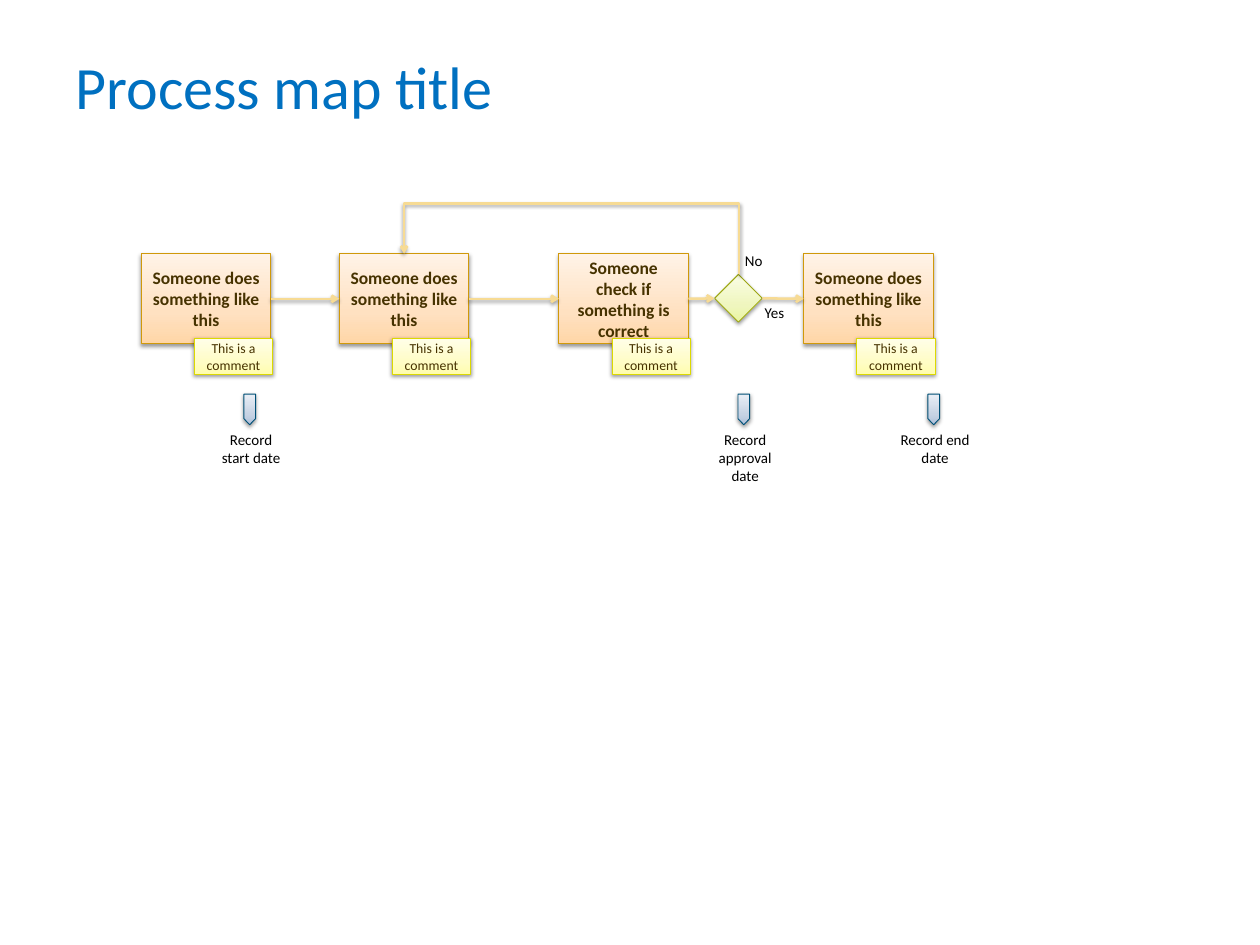
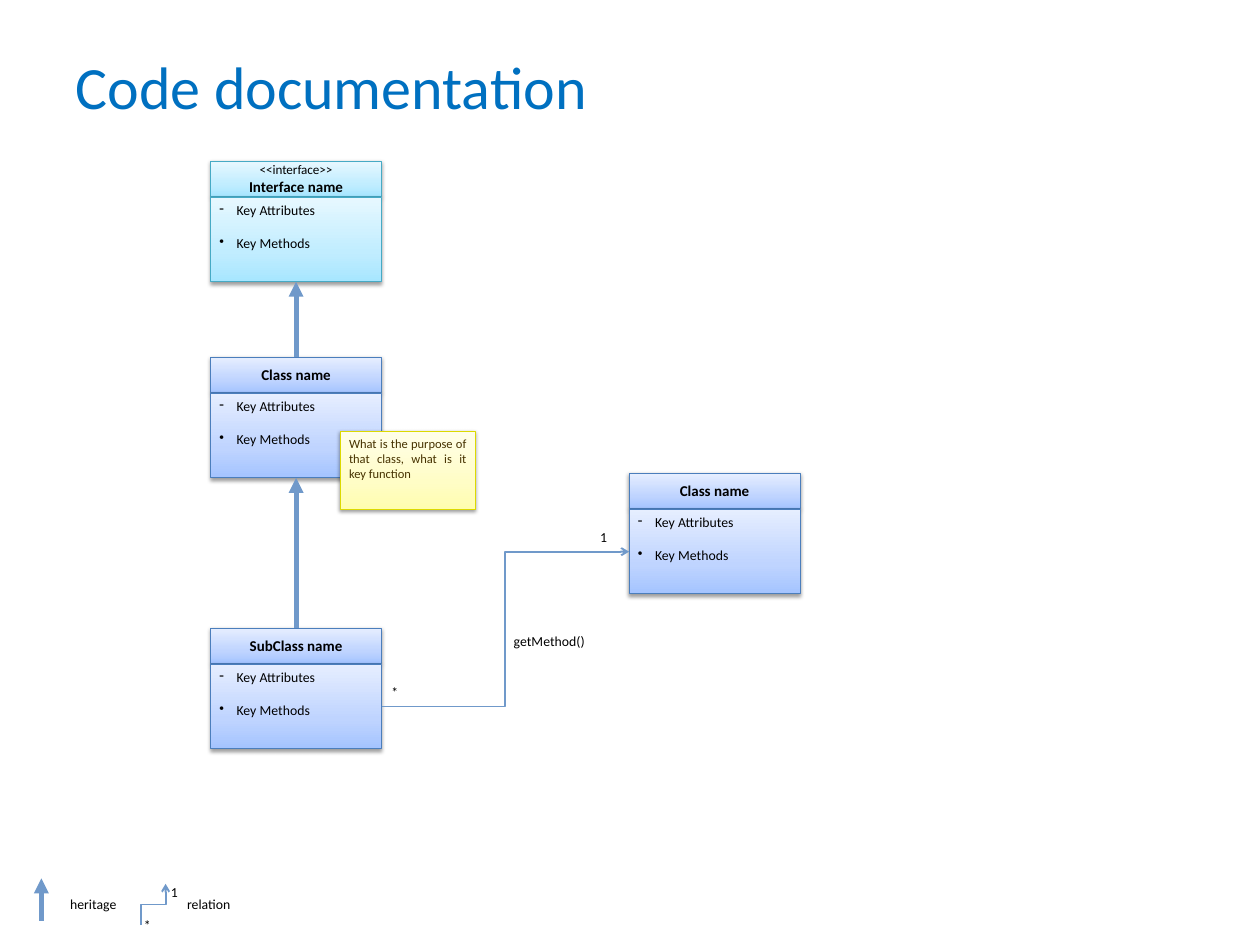
from copy import deepcopy
from dataclasses import dataclass

from lxml.etree import SubElement
from pptx import Presentation
from pptx.dml.color import RGBColor
from pptx.enum.shapes import MSO_CONNECTOR, MSO_SHAPE
from pptx.enum.text import MSO_ANCHOR, MSO_AUTO_SIZE, PP_ALIGN
from pptx.oxml.ns import qn
from pptx.util import Inches, Pt

TOP, LEFT, BOTTOM, RIGHT = range(4)


@dataclass(frozen=True)
class Look:
    """Outline colour and the three gradient colours from bottom to top."""
    line: str
    gradient: tuple


@dataclass(frozen=True)
class Theme:
    font: str = "Calibri"
    title_color: str = "0070C0"
    text: str = "000000"
    dark_text: str = "463200"
    flow_line: str = "F7DB94"
    class_line: str = "7099CA"
    title_size: float = 48
    step_size: float = 14
    label_size: float = 12
    small_size: float = 11
    tiny_size: float = 10
    stereotype_size: float = 10.5
    step: Look = Look("D0990A", ("FFD6A7", "FFE1C1", "FFF3E7"))
    comment: Look = Look("DCD900", ("FFFDAE", "FFFDC6", "FFFEE9"))
    decision: Look = Look("9DA714", ("EAF5A1", "EFF6BE", "FAFDE5"))
    record: Look = Look("005077", ("AEC0D9", "C7D3E4", "E9EEF5"))
    class_box: Look = Look("4B7EBC", ("A4C4FF", "BFD4FF", "E6EEFF"))
    interface: Look = Look("46AAC5", ("A7E6FF", "C1EDFF", "E7F8FF"))


THEME = Theme()


def style(paragraph, size, color=THEME.text, bold=False, align=PP_ALIGN.LEFT):
    paragraph.alignment = align
    font = paragraph.font
    font.name, font.size, font.bold = THEME.font, Pt(size), bold
    font.color.rgb = RGBColor.from_string(color)


def add_shadow(effects):
    shadow = SubElement(effects, qn("a:outerShdw"), blurRad="40000", dist="20000",
                        dir="5400000", rotWithShape="0")
    black = SubElement(shadow, qn("a:srgbClr"), val="000000")
    SubElement(black, qn("a:alpha"), val="38000")


def add_panel(shapes, kind, left, top, width, height, look):
    """Shape with a vertical gradient, a thin outline and a soft shadow."""
    panel = shapes.add_shape(kind, Inches(left), Inches(top), Inches(width), Inches(height))
    panel.fill.gradient()
    panel.fill.gradient_angle = 90
    stops = panel._element.spPr.find(".//" + qn("a:gsLst"))
    stops.insert(1, deepcopy(stops[0]))
    for stop, position, color in zip(panel.fill.gradient_stops, (0, 0.35, 1), look.gradient):
        stop.position = position
        stop.color.rgb = RGBColor.from_string(color)
    panel.line.color.rgb = RGBColor.from_string(look.line)
    panel.line.width = Pt(0.75)
    panel.shadow.inherit = False
    add_shadow(panel._element.spPr.find(qn("a:effectLst")))
    return panel


def write_panel(panel, text, size, color=THEME.text, bold=False,
                align=PP_ALIGN.CENTER, anchor=MSO_ANCHOR.MIDDLE):
    frame = panel.text_frame
    frame.word_wrap = True
    frame.vertical_anchor = anchor
    frame.text = text
    style(frame.paragraphs[0], size, color, bold, align)


def add_label(shapes, text, left, top, width, height, size=THEME.small_size,
              wrap=False, align=PP_ALIGN.LEFT):
    label = shapes.add_textbox(Inches(left), Inches(top), Inches(width), Inches(height))
    frame = label.text_frame
    frame.word_wrap = wrap
    frame.auto_size = MSO_AUTO_SIZE.SHAPE_TO_FIT_TEXT
    frame.text = text
    style(frame.paragraphs[0], size, align=align)


def add_title(slide, text):
    title = slide.shapes.add_textbox(Inches(0.7), Inches(0.42), Inches(12.6), Inches(1.05))
    frame = title.text_frame
    frame.word_wrap = True
    frame.vertical_anchor = MSO_ANCHOR.MIDDLE
    frame.margin_left = frame.margin_right = Inches(0.14)
    frame.margin_top = frame.margin_bottom = Inches(0.07)
    frame.text = text
    style(frame.paragraphs[0], THEME.title_size, THEME.title_color)


def style_line(connector, color, width, head, shadow=False):
    connector.line.color.rgb = RGBColor.from_string(color)
    connector.line.width = Pt(width)
    SubElement(connector.line._get_or_add_ln(), qn("a:tailEnd"), type=head)
    effects = SubElement(connector._element.spPr, qn("a:effectLst"))
    if shadow:
        add_shadow(effects)


def style_flow(connector):
    style_line(connector, THEME.flow_line, 2, "arrow", shadow=True)


def style_heritage(connector):
    style_line(connector, THEME.class_line, 4, "triangle")


def style_relation(connector):
    style_line(connector, THEME.class_line, 1.5, "arrow")


def add_connector(shapes, kind, x1, y1, x2, y2):
    return shapes.add_connector(kind, Inches(x1), Inches(y1), Inches(x2), Inches(y2))


def join(shapes, source, source_side, target, target_side):
    connector = add_connector(shapes, MSO_CONNECTOR.STRAIGHT, 0, 0, 0, 0)
    connector.begin_connect(source, source_side)
    connector.end_connect(target, target_side)
    return connector


def add_rising_elbow(shapes, x1, y1, x2, y2, turn_y):
    """Elbow that leaves upwards, crosses at turn_y and ends vertically."""
    center_x, center_y = (x1 + x2) / 2, (y1 + y2) / 2
    half_rise, half_run = (y1 - y2) / 2, (x2 - x1) / 2
    elbow = add_connector(shapes, MSO_CONNECTOR.ELBOW, center_x - half_rise,
                          center_y - half_run, center_x + half_rise, center_y + half_run)
    properties = elbow._element.spPr
    properties.find(qn("a:xfrm")).set("rot", "16200000")
    turn = round((y1 - turn_y) / (y1 - y2) * 100000)
    SubElement(properties.find(".//" + qn("a:avLst")), qn("a:gd"),
               name="adj1", fmla=f"val {turn}")
    return elbow


def add_step(shapes, left, top, text):
    step = add_panel(shapes, MSO_SHAPE.RECTANGLE, left, top, 1.44, 1, THEME.step)
    write_panel(step, text, THEME.step_size, THEME.dark_text, bold=True)
    comment = add_panel(shapes, MSO_SHAPE.RECTANGLE, left + 0.59, top + 0.94, 0.87, 0.4,
                        THEME.comment)
    write_panel(comment, "This is a comment", THEME.small_size, THEME.dark_text)
    return step


def add_record(shapes, left, top, text, height):
    group = shapes.add_group_shape().shapes
    add_panel(group, MSO_SHAPE.FLOWCHART_OFFPAGE_CONNECTOR, left + 0.42, top, 0.13, 0.34,
              THEME.record)
    add_label(group, text, left, top + 0.35, 1, height, THEME.label_size,
              wrap=True, align=PP_ALIGN.CENTER)


def build_process_map(slide):
    add_title(slide, "Process map title")
    shapes = slide.shapes
    action = "Someone does something like this"
    check = "Someone check if something is correct"
    top = 2.82
    first, second, third, last = [
        add_step(shapes, left, top, text)
        for left, text in ((1.57, action), (3.77, action), (6.21, check), (8.93, action))]
    decision = add_panel(shapes, MSO_SHAPE.DIAMOND, 7.94, 3.05, 0.53, 0.53, THEME.decision)
    chain = (first, second, third, decision, last)
    for source, target in zip(chain, chain[1:]):
        style_flow(join(shapes, source, RIGHT, target, LEFT))
    style_flow(add_rising_elbow(shapes, 8.21, 3.05, 4.49, top, turn_y=2.26))
    for answer, left, answer_top in (("Yes", 8.28, 3.32), ("No", 8.05, 2.75)):
        add_label(shapes, answer, left, answer_top, 0.65, 0.3, THEME.label_size,
                  wrap=True, align=PP_ALIGN.CENTER)
    for left, text, height in ((2.29, "Record start date", 0.5),
                               (7.78, "Record approval date", 0.71),
                               (9.89, "Record end date", 0.5)):
        add_record(shapes, left, 4.38, text, height)


def add_member(paragraph, bullet):
    style(paragraph, THEME.small_size)
    properties = paragraph._p.get_or_add_pPr()
    properties.set("marL", str(Inches(0.19)))
    properties.set("indent", str(-Inches(0.19)))
    mark = SubElement(properties, qn("a:buChar"), char=bullet)
    properties.insert_element_before(mark, "a:defRPr")


def add_class(shapes, left, top, name, look=THEME.class_box, stereotype=None):
    """Name band over a member list; returns both."""
    group = shapes.add_group_shape().shapes
    header = add_panel(group, MSO_SHAPE.RECTANGLE, left, top, 1.9, 0.39, look)
    write_panel(header, name, THEME.label_size, bold=True)
    if stereotype:
        write_panel(header, stereotype, THEME.stereotype_size)
        name_line = header.text_frame.add_paragraph()
        name_line.text = name
        style(name_line, THEME.label_size, bold=True, align=PP_ALIGN.CENTER)
    members = add_panel(group, MSO_SHAPE.RECTANGLE, left, top + 0.4, 1.9, 0.94, look)
    frame = members.text_frame
    frame.word_wrap = True
    frame.vertical_anchor = MSO_ANCHOR.TOP
    frame.text = "Key Attributes\nKey Methods"
    attributes, methods = frame.paragraphs
    add_member(attributes, "-")
    methods.space_before = Pt(13.4)
    add_member(methods, "•")
    return header, members


def add_legend(shapes, left, top):
    style_heritage(add_connector(shapes, MSO_CONNECTOR.STRAIGHT,
                                 left, top + 0.47, left, top))
    add_label(shapes, "heritage", left + 0.22, top + 0.14, 0.72, 0.29)
    style_relation(add_rising_elbow(shapes, left + 1.11, top + 0.52, left + 1.38, top + 0.06,
                                    turn_y=top + 0.29))
    add_label(shapes, "relation", left + 1.52, top + 0.14, 0.69, 0.29)
    add_label(shapes, "*", left + 1.04, top + 0.38, 0.28, 0.29)
    add_label(shapes, "1", left + 1.34, top + 0.01, 0.28, 0.29)


def build_code_documentation(slide):
    add_title(slide, "Code documentation")
    shapes = slide.shapes
    column = 2.34
    class_name, class_members = add_class(shapes, column, 3.97, "Class name")
    purpose = add_panel(shapes, MSO_SHAPE.RECTANGLE, 3.78, 4.79, 1.5, 0.87, THEME.comment)
    write_panel(purpose, "What is the purpose of that class, what is it key function",
                THEME.tiny_size, THEME.dark_text, align=PP_ALIGN.JUSTIFY, anchor=MSO_ANCHOR.TOP)
    subclass_name, subclass_members = add_class(shapes, column, 6.98, "SubClass name")
    _, related_members = add_class(shapes, 6.99, 5.26, "Class name")
    _, interface_members = add_class(shapes, column, 1.79, "Interface name",
                                     THEME.interface, "<<interface>>")
    for child, parent in ((subclass_name, class_members), (class_name, interface_members)):
        style_heritage(join(shapes, child, TOP, parent, BOTTOM))
    relation = add_connector(shapes, MSO_CONNECTOR.ELBOW, 4.24, 7.85, 6.99, 6.13)
    relation.begin_connect(subclass_members, RIGHT)
    relation.end_connect(related_members, LEFT)
    style_relation(relation)
    add_label(shapes, "getMethod()", 5.61, 6.98, 1, 0.29)
    add_label(shapes, "*", 4.25, 7.55, 0.28, 0.29)
    add_label(shapes, "1", 6.57, 5.83, 0.28, 0.29)
    add_legend(shapes, 0.46, 9.76)


def main():
    deck = Presentation()
    deck.slide_width, deck.slide_height = Inches(14), Inches(10.5)
    for build in (build_process_map, build_code_documentation):
        build(deck.slides.add_slide(deck.slide_layouts[6]))
    deck.save("out.pptx")


if __name__ == "__main__":
    main()
